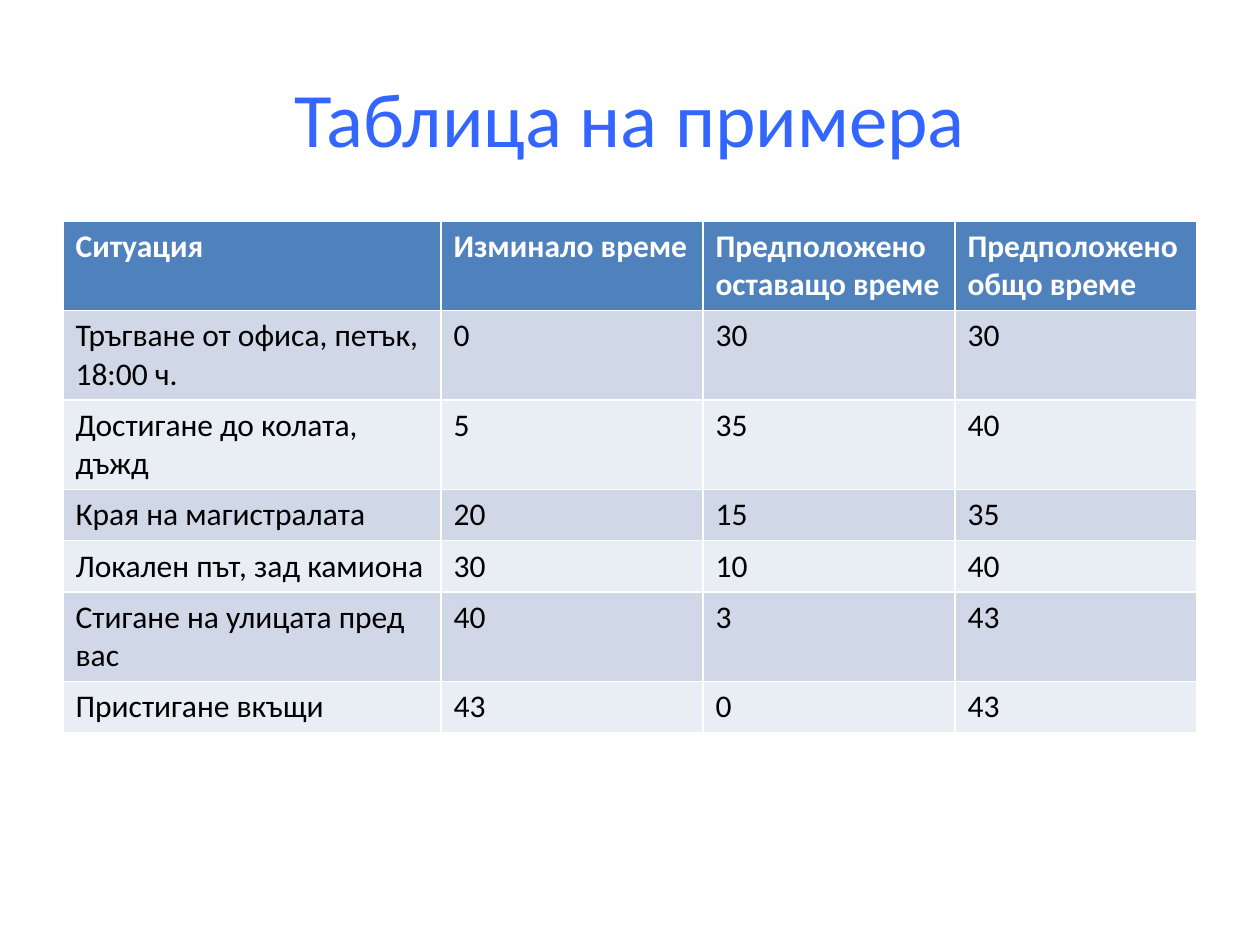
from pptx import Presentation
from pptx import util as u
from pptx.dml.color import RGBColor
from pptx.enum import text

PX_PER_INCH = 126
FONT = "Calibri"
TITLE_BLUE = RGBColor(0x33, 0x66, 0xFF)
HEADER_BLUE = RGBColor(0x4F, 0x81, 0xBD)
BANDS = (RGBColor(0xD0, 0xD8, 0xE8), RGBColor(0xE9, 0xED, 0xF4))
WHITE = RGBColor(0xFF, 0xFF, 0xFF)
BLACK = RGBColor(0x00, 0x00, 0x00)

TITLE_BOX = (63, 38, 1134, 158)
TABLE_BOX = (63, 221, 1134, 357)
COLUMN_WIDTHS = (378, 262, 252, 242)
ROWS = (
    ("Ситуация", "Изминало време", "Предположено оставащо време",
     "Предположено общо време"),
    ("Тръгване от офиса, петък, 18:00 ч.", "0", "30", "30"),
    ("Достигане до колата, дъжд", "5", "35", "40"),
    ("Края на магистралата", "20", "15", "35"),
    ("Локален път, зад камиона", "30", "10", "40"),
    ("Стигане на улицата пред вас", "40", "3", "43"),
    ("Пристигане вкъщи", "43", "0", "43"),
)


def px(length):
    return u.Emu(round(length * 914400 / PX_PER_INCH))


def style_font(font, size, color, bold=False):
    font.name = FONT
    font.size = u.Pt(size)
    font.bold = bold
    font.color.rgb = color


def add_title(page, box, wording):
    title = page.shapes.title
    title.left, title.top, title.width, title.height = map(px, box)
    frame = title.text_frame
    frame.text = wording
    frame.vertical_anchor = text.MSO_ANCHOR.MIDDLE
    para = frame.paragraphs[0]
    para.alignment = text.PP_ALIGN.CENTER
    style_font(para.font, 44, TITLE_BLUE)


def add_estimate_table(page, box, rows):
    table = page.shapes.add_table(len(rows), len(COLUMN_WIDTHS), *map(px, box)).table
    for column, width in zip(table.columns, COLUMN_WIDTHS):
        column.width = px(width)
    for row_index, values in enumerate(rows):
        is_header = row_index == 0
        fill = HEADER_BLUE if is_header else BANDS[(row_index - 1) % 2]
        for column_index, value in enumerate(values):
            cell = table.cell(row_index, column_index)
            cell.text = value
            cell.fill.solid()
            cell.fill.fore_color.rgb = fill
            style_font(cell.text_frame.paragraphs[0].font, 18,
                       WHITE if is_header else BLACK, is_header)


def main():
    deck = Presentation()
    deck.slide_width, deck.slide_height = px(1260), px(945)
    page = deck.slides.add_slide(deck.slide_layouts.get_by_name("Title Only"))
    add_title(page, TITLE_BOX, "Таблица на примера")
    add_estimate_table(page, TABLE_BOX, ROWS)
    deck.save("out.pptx")


if __name__ == "__main__":
    main()
